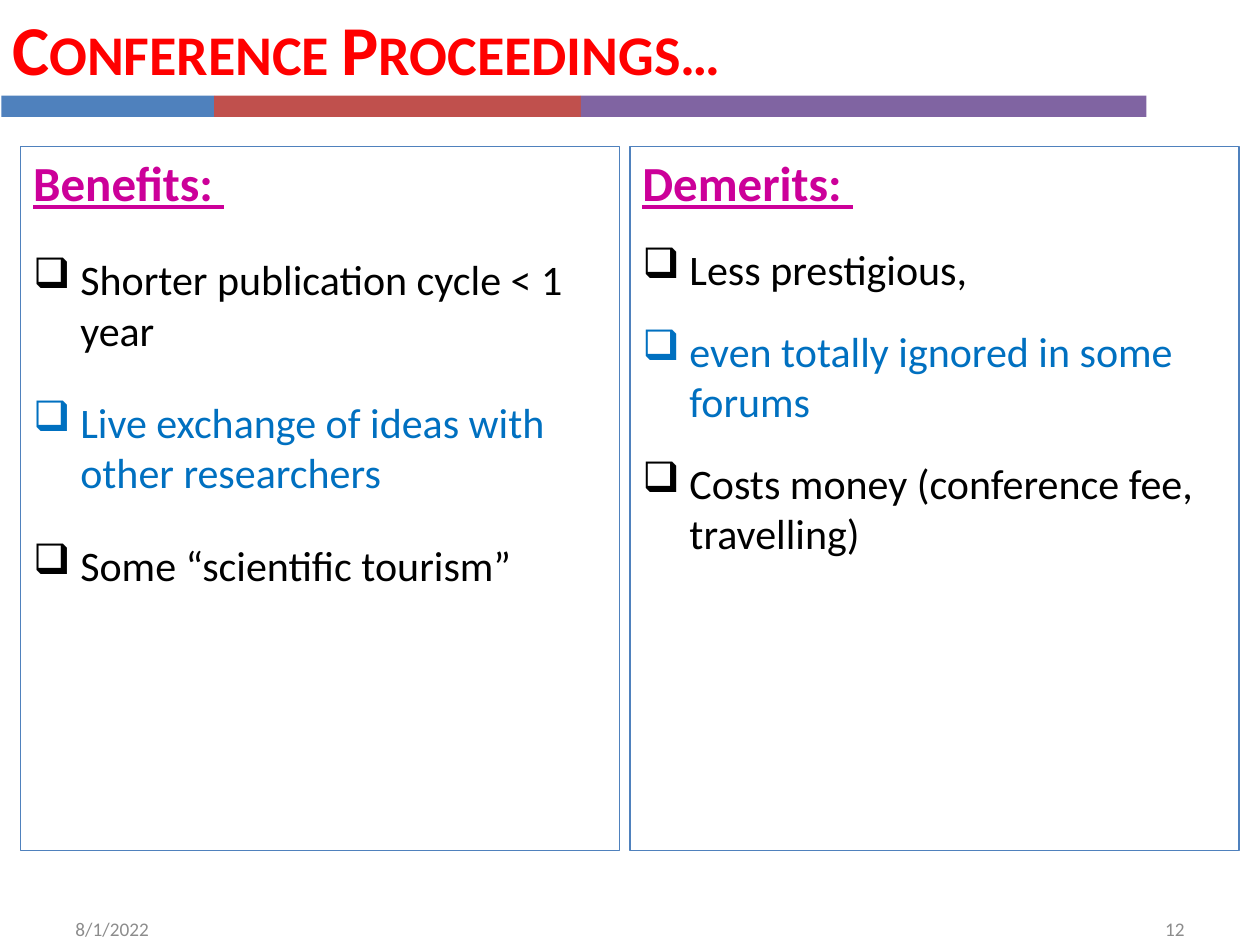
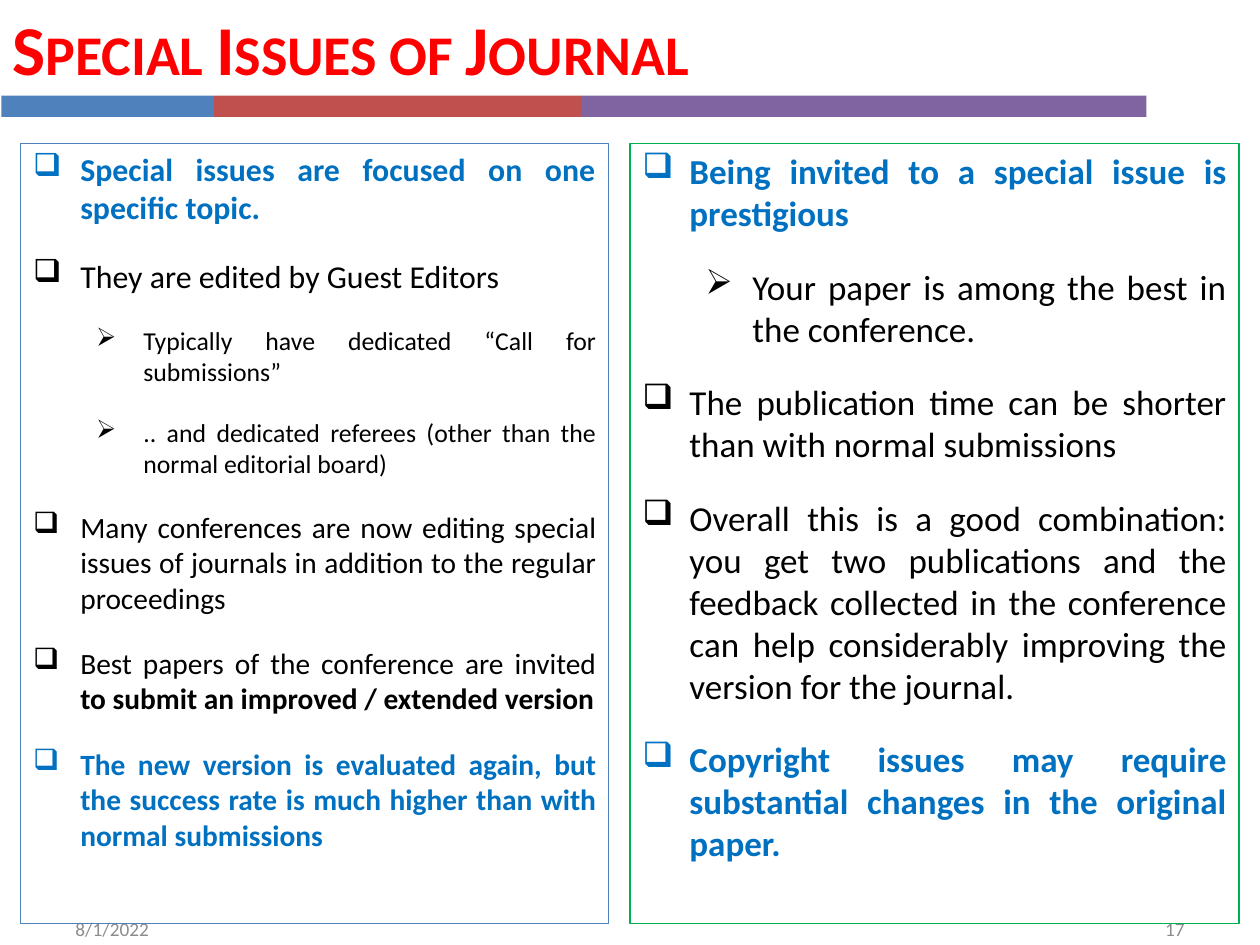
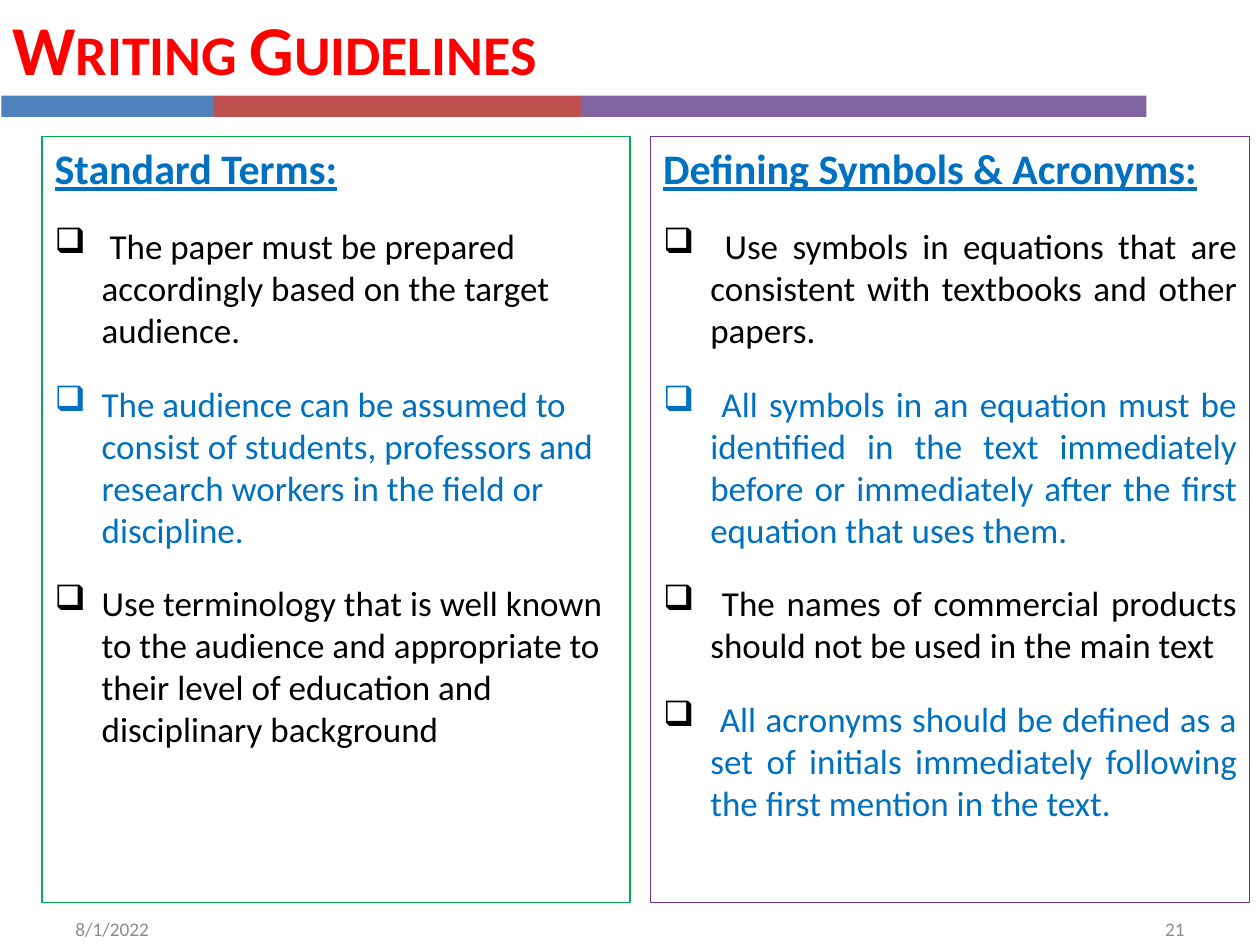
from dataclasses import dataclass
from itertools import pairwise

from lxml.etree import SubElement
from pptx import Presentation
from pptx.dml.color import RGBColor
from pptx.enum.shapes import MSO_SHAPE
from pptx.enum.text import MSO_ANCHOR, PP_ALIGN
from pptx.oxml.ns import qn
from pptx.util import Cm, Pt

FONT = "Calibri"
BLACK, BLUE, RED, MAGENTA, GREY = "000000", "0070C0", "FF0000", "CC0099", "8C8C8C"
STEEL, BRICK, VIOLET, GREEN, PURPLE = "4F81BD", "C0504D", "8064A2", "00B050", "7030A0"
BAND_EDGES = (0.03, 4.32, 11.71, 23.11)
BAND_TOP, BAND_HEIGHT = 1.93, 0.43
MARKERS = ("❑", "➢")
HANG, LEVEL_STEP = 0.95, 1.27
DATE = "8/1/2022"


@dataclass(frozen=True)
class Span:
    """A stretch of text in one style."""
    text: str
    size: float
    color: str = BLACK
    bold: bool = False
    underline: bool = False


@dataclass(frozen=True)
class Item:
    """A paragraph; a level of None means no bullet."""
    spans: tuple[Span, ...]
    level: int | None = 0


@dataclass(frozen=True)
class Panel:
    """An outlined column of items, measured in centimetres."""
    left: float
    width: float
    outline: str
    before: float
    after: float
    items: tuple[Item, ...]
    justified: bool = False


@dataclass(frozen=True)
class Page:
    """A titled page with two panels of equal top and height."""
    title: str
    number: int
    top: float
    height: float
    panels: tuple[Panel, Panel]


def rgb(color: str) -> RGBColor:
    """Turn a hex string into a colour."""
    return RGBColor.from_string(color)


def heading(text: str, size: float, color: str, *more: Span) -> Item:
    """Make an underlined panel heading."""
    return Item((Span(text, size, color, True, True), *more), None)


def bullet(text: str, size: float, color: str = BLACK, bold: bool = False, level: int = 0) -> Item:
    """Make a bullet in one style."""
    return Item((Span(text, size, color, bold),), level)


def write_spans(para, spans: tuple[Span, ...]) -> None:
    """Fill a paragraph and format its runs."""
    para.text = spans[0].text
    for span in spans[1:]:
        para.add_run().text = span.text
    for run, span in zip(para.runs, spans):
        run.font.name = FONT
        run.font.size = Pt(span.size)
        run.font.bold = span.bold
        run.font.underline = span.underline
        run.font.color.rgb = rgb(span.color)


def set_bullet(para, level: int) -> None:
    """Give a paragraph its marker and hanging indent."""
    para.level = level
    properties = para._p.get_or_add_pPr()
    properties.set("marL", str(Cm(HANG + level * LEVEL_STEP)))
    properties.set("indent", str(-Cm(HANG)))
    SubElement(properties, qn("a:buChar")).set("char", MARKERS[level])


def draw_rectangle(page, left: float, top: float, width: float, height: float):
    """Add a rectangle without shadow."""
    shape = page.shapes.add_shape(MSO_SHAPE.RECTANGLE, Cm(left), Cm(top), Cm(width), Cm(height))
    shape.shadow.inherit = False
    return shape


def draw_label(page, left: float, top: float, width: float, height: float, span: Span,
               align: PP_ALIGN = PP_ALIGN.LEFT):
    """Add one vertically centred line and return its paragraph."""
    box = page.shapes.add_textbox(Cm(left), Cm(top), Cm(width), Cm(height))
    box.text_frame.word_wrap = True
    box.text_frame.vertical_anchor = MSO_ANCHOR.MIDDLE
    para = box.text_frame.paragraphs[0]
    para.alignment = align
    write_spans(para, (span,))
    return para


def draw_frame(page, title: str, number: int) -> None:
    """Draw the bands, title and footers every page shares."""
    for (left, right), color in zip(pairwise(BAND_EDGES), (STEEL, BRICK, VIOLET)):
        band = draw_rectangle(page, left, BAND_TOP, right - left, BAND_HEIGHT)
        band.fill.solid()
        band.fill.fore_color.rgb = rgb(color)
        band.line.fill.background()
    para = draw_label(page, 0, 0, BAND_EDGES[-1], BAND_TOP, Span(title, 40, RED, True))
    para.runs[0]._r.get_or_add_rPr().set("cap", "small")
    draw_label(page, 1.27, 18.21, 5.92, 1.02, Span(DATE, 11, GREY))
    draw_label(page, 18.21, 18.21, 5.92, 1.02, Span(str(number), 11, GREY), PP_ALIGN.RIGHT)


def draw_panel(page, panel: Panel, top: float, height: float) -> None:
    """Draw an outlined panel with its items."""
    box = draw_rectangle(page, panel.left, top, panel.width, height)
    box.fill.background()
    box.line.color.rgb = rgb(panel.outline)
    box.line.width = Pt(0.75)
    frame = box.text_frame
    frame.word_wrap = True
    frame.vertical_anchor = MSO_ANCHOR.TOP
    for index, item in enumerate(panel.items):
        para = frame.add_paragraph() if index else frame.paragraphs[0]
        para.alignment = PP_ALIGN.JUSTIFY if panel.justified else PP_ALIGN.LEFT
        para.space_before, para.space_after = Pt(panel.before), Pt(panel.after)
        write_spans(para, item.spans)
        if item.level is not None:
            set_bullet(para, item.level)


PAGES = (
    Page("Conference Proceedings…", 12, 2.96, 14.18, (
        Panel(0.42, 12.07, STEEL, 12, 12, (
            heading("Benefits: ", 28, MAGENTA),
            bullet("Shorter publication cycle < 1 year", 24),
            bullet("Live exchange of ideas with other researchers", 24, BLUE),
            bullet("Some “scientific tourism”", 24),
        )),
        Panel(12.7, 12.28, STEEL, 12, 6, (
            heading("Demerits:", 28, MAGENTA, Span(" ", 28, MAGENTA, False, True)),
            bullet("Less prestigious,", 24),
            bullet("even totally ignored in some forums", 24, BLUE),
            bullet("Costs money (conference fee, travelling)", 24),
        )),
    )),
    Page("Special Issues of Journal", 17, 2.89, 15.73, (
        Panel(0.42, 11.85, STEEL, 6, 11.3, (
            bullet("Special issues are focused on one specific topic.", 18.2, BLUE, True),
            bullet("They are edited by Guest Editors", 18.2),
            bullet("Typically have dedicated “Call for submissions”", 14.7, level=1),
            bullet(".. and dedicated referees (other than the normal editorial board)", 14.7, level=1),
            bullet("Many conferences are now editing special issues of journals in addition "
                   "to the regular proceedings", 16.8),
            Item((Span("Best papers of the conference are invited ", 16.8),
                  Span("to submit an improved / extended version", 16.8, bold=True))),
            bullet("The new version is evaluated again, but the success rate is much higher "
                   "than with normal submissions", 16.8, BLUE, True),
        ), True),
        Panel(12.7, 12.28, GREEN, 6, 12, (
            bullet("Being invited to a special issue is prestigious", 20, BLUE, True),
            bullet("Your paper is among the best in the conference.", 20, level=1),
            bullet("The publication time can be shorter than with normal submissions", 20),
            bullet("Overall this is a good combination: you get two publications and the "
                   "feedback collected in the conference can help considerably improving "
                   "the version for the journal.", 20),
            bullet("Copyright issues may require substantial changes in the original paper.",
                   20, BLUE, True),
        ), True),
    )),
    Page("Writing Guidelines", 21, 2.75, 15.45, (
        Panel(0.85, 11.85, GREEN, 0, 18, (
            heading("Standard Terms:", 24, BLUE),
            bullet(" The paper must be prepared accordingly based on the target audience.", 20),
            bullet("The audience can be assumed to consist of students, professors and "
                   "research workers in the field or discipline.", 20, BLUE),
            bullet("Use terminology that is well known to the audience and appropriate to "
                   "their level of education and disciplinary background", 20),
        )),
        Panel(13.12, 12.07, PURPLE, 0, 18, (
            heading("Defining Symbols & Acronyms:", 24, BLUE),
            bullet(" Use symbols in equations that are consistent with textbooks and other "
                   "papers.", 20),
            bullet(" All symbols in an equation must be identified in the text immediately "
                   "before or immediately after the first equation that uses them.", 20, BLUE),
            bullet(" The names of commercial products should not be used in the main text", 20),
            Item((Span(" ", 20),
                  Span("All acronyms should be defined as a set of initials immediately "
                       "following the first mention in the text.", 20, BLUE))),
        ), True),
    )),
)


def main() -> None:
    """Build and save the deck."""
    deck = Presentation()
    deck.slide_width, deck.slide_height = Cm(25.4), Cm(19.05)
    for content in PAGES:
        page = deck.slides.add_slide(deck.slide_layouts[6])
        draw_frame(page, content.title, content.number)
        for panel in content.panels:
            draw_panel(page, panel, content.top, content.height)
    deck.save("out.pptx")


if __name__ == "__main__":
    main()
